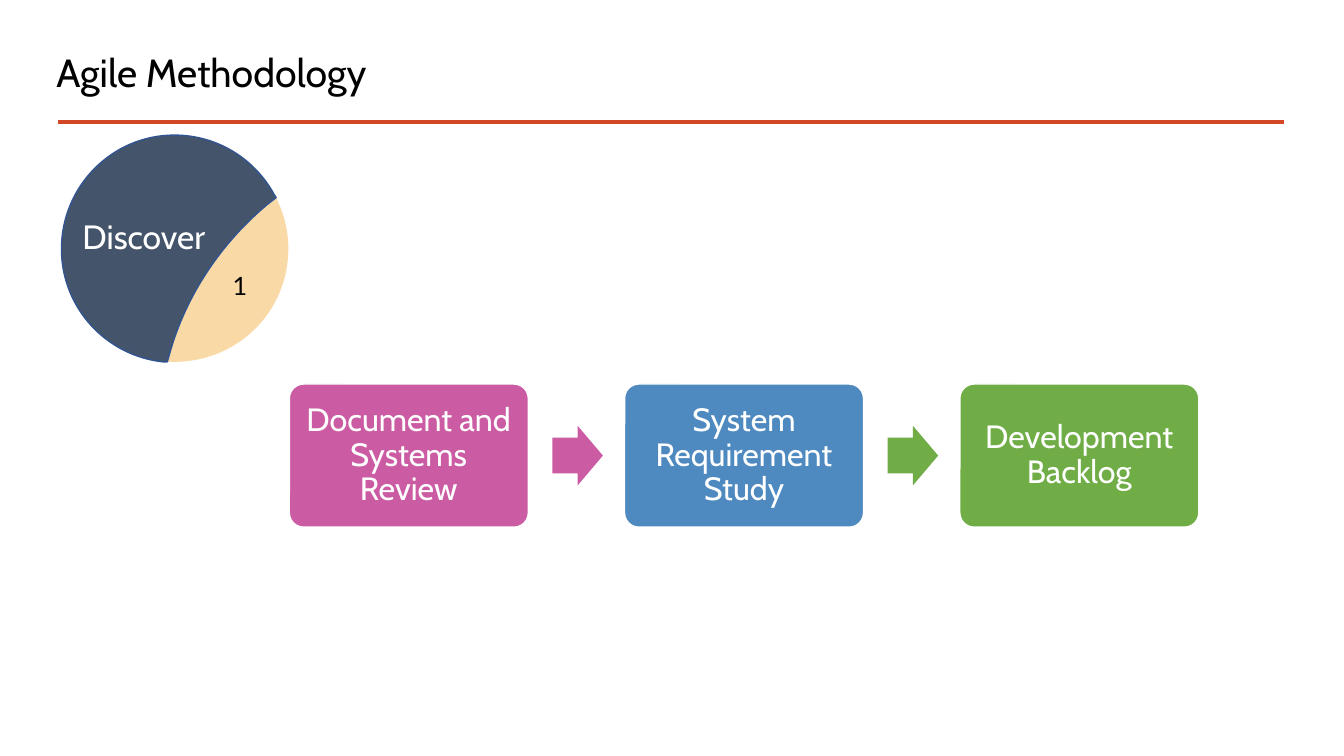
from pptx import Presentation
from pptx.dml.color import RGBColor
from pptx.enum import shapes, text
from pptx.oxml import ns
from pptx.util import Inches, Pt

BLACK = RGBColor(0x00, 0x00, 0x00)
WHITE = RGBColor(0xFF, 0xFF, 0xFF)
RED = RGBColor(0xD2, 0x47, 0x26)
SAND = RGBColor(0xF9, 0xD9, 0xA5)
SLATE = RGBColor(0x44, 0x54, 0x6A)
NAVY = RGBColor(0x32, 0x54, 0x91)
PINK = RGBColor(0xCB, 0x5B, 0xA3)
BLUE = RGBColor(0x4E, 0x89, 0xBF)
GREEN = RGBColor(0x70, 0xAD, 0x47)

STEPS = [
    ("Document and Systems Review", PINK),
    ("System Requirement Study", BLUE),
    ("Development Backlog", GREEN),
]
ARROW_COLORS = [PINK, GREEN]

UPPER_TIP, LOWER_TIP = (2.13, 0.62), (1.05, 2.25)
DIVIDER_TOP, DIVIDER_END = (2.04, 0.69), (1.09, 2.11)
BEND_TOP, BEND_END = (1.6, 1.06), (1.26, 1.55)
CRESCENT = [
    [(2.16, 0.69)],
    [(2.22, 0.83), (2.25, 0.97), (2.25, 1.13)],
    [(2.25, 1.75), (1.75, 2.25), (1.12, 2.25)],
    [LOWER_TIP],
    [DIVIDER_END],
    [BEND_END, BEND_TOP, DIVIDER_TOP],
]
BODY = [
    [DIVIDER_TOP],
    [BEND_TOP, BEND_END, DIVIDER_END],
    [LOWER_TIP],
    [(1.01, 2.25)],
    [(0.44, 2.19), (0, 1.71), (0, 1.13)],
    [(0, 0.51), (0.5, 0), (1.12, 0)],
    [(1.55, 0), (1.92, 0.24), (2.11, 0.59)],
]


def set_text(sp, content, size, color, font="Cabin", align=None):
    tf = sp.text_frame
    tf.text = content
    p = tf.paragraphs[0]
    p.alignment = align
    r = p.runs[0]
    r.font.size = Pt(size)
    r.font.name = font
    r.font.color.rgb = color
    return tf


def paint(sp, fill, line=None):
    sp.shadow.inherit = False
    sp.fill.solid()
    sp.fill.fore_color.rgb = fill
    if line is None:
        sp.line.fill.background()
    else:
        sp.line.color.rgb = line
        sp.line.width = Pt(1)


def add_header(slide, left, top, width, height):
    title = slide.shapes.title
    title.left, title.top = Inches(left), Inches(top)
    title.width, title.height = Inches(9.57), Inches(0.7)
    tf = set_text(title, "Agile Methodology", 28, BLACK,
                  align=text.PP_ALIGN.LEFT)
    tf.vertical_anchor = text.MSO_ANCHOR.MIDDLE
    tf.paragraphs[0].line_spacing = 0.9
    rule_y = Inches(top + height)
    rule = slide.shapes.add_connector(
        shapes.MSO_CONNECTOR.STRAIGHT,
        Inches(left + 0.12), rule_y, Inches(left + width), rule_y)
    rule.line.color.rgb = RED
    rule.line.width = Pt(2.25)
    rule._element.spPr.append(
        rule._element.makeelement(ns.qn("a:effectLst"), {}))


def add_outline(slide, left, top, segments, fill, line=None):
    vertices = [(Inches(left + x), Inches(top + y))
                for x, y in [UPPER_TIP] + sum(segments, [])]
    builder = slide.shapes.build_freeform(*vertices[0])
    builder.add_line_segments(vertices[1:], close=True)
    sp = builder.convert_to_shape()
    edges = iter(list(sp._element.iter(ns.qn("a:lnTo"))))
    for segment in segments:
        edge = next(edges)
        if len(segment) == 3:
            curve = edge.makeelement(ns.qn("a:cubicBezTo"), {})
            edge.addprevious(curve)
            for part in (edge, next(edges), next(edges)):
                curve.append(part[0])
                part.getparent().remove(part)
    paint(sp, fill, line)


def add_label(slide, left, top, width, height, content, size, color, font):
    sp = slide.shapes.add_textbox(
        Inches(left), Inches(top), Inches(width), Inches(height))
    tf = set_text(sp, content, size, color, font)
    tf.word_wrap = True


def add_phase_badge(slide, left, top):
    add_outline(slide, left, top, CRESCENT, SAND)
    add_outline(slide, left, top, BODY, SLATE, NAVY)
    add_label(slide, left + 1.6, top + 1.29, 0.32, 0.4, "1", 18, BLACK, "Lato")
    add_label(slide, left + 0.11, top + 0.75, 1.6, 0.5,
              "Discover", 24, WHITE, "Cabin")


def add_step(slide, left, top, width, height, content, color):
    sp = slide.shapes.add_shape(
        shapes.MSO_SHAPE.ROUNDED_RECTANGLE,
        Inches(left), Inches(top), Inches(width), Inches(height))
    sp.adjustments[0] = 0.1
    paint(sp, color, WHITE)
    tf = set_text(sp, content, 23, WHITE, align=text.PP_ALIGN.CENTER)
    tf.word_wrap = True
    tf.vertical_anchor = text.MSO_ANCHOR.MIDDLE
    tf.margin_left = tf.margin_right = Inches(0.1)
    tf.margin_top = tf.margin_bottom = Inches(0.1)
    tf.paragraphs[0].line_spacing = 0.9


def add_process(slide, left, top, width, height):
    step_w, arrow_w, arrow_h = 2.37, 0.5, 0.59
    pitch = (width - step_w) / (len(STEPS) - 1)
    for i, (content, color) in enumerate(STEPS):
        add_step(slide, left + i * pitch, top, step_w, height, content, color)
    for i, color in enumerate(ARROW_COLORS):
        sp = slide.shapes.add_shape(
            shapes.MSO_SHAPE.RIGHT_ARROW,
            Inches(left + i * pitch + step_w + 0.24),
            Inches(top + (height - arrow_h) / 2),
            Inches(arrow_w), Inches(arrow_h))
        sp.adjustments[0] = 0.6
        sp.adjustments[1] = 0.5
        paint(sp, color)


def main():
    prs = Presentation()
    prs.slide_width, prs.slide_height = Inches(13.33), Inches(7.5)
    slide = prs.slides.add_slide(prs.slide_layouts.get_by_name("Title Only"))
    add_header(slide, 0.46, 0.39, 12.28, 0.82)
    add_phase_badge(slide, 0.61, 1.34)
    add_process(slide, 2.87, 3.81, 9.02, 1.42)
    prs.save("out.pptx")


if __name__ == "__main__":
    main()
